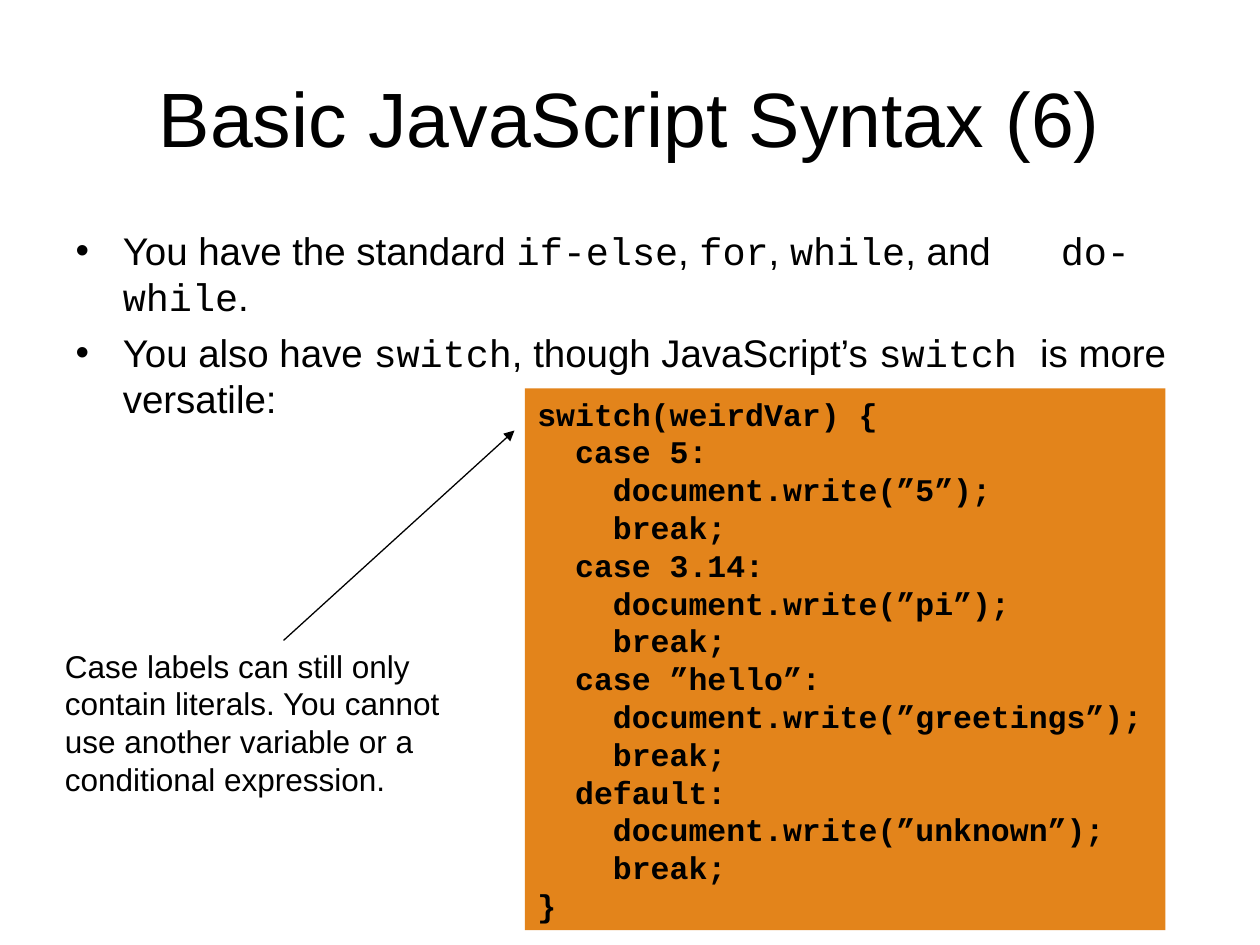
"""Build a slide on JavaScript control flow with a switch example."""
from lxml.etree import SubElement as sub_element
from pptx import Presentation
from pptx.dml.color import RGBColor
from pptx.enum.shapes import MSO_CONNECTOR as Connector, MSO_SHAPE as Shape
from pptx.enum.text import MSO_ANCHOR as Anchor, MSO_AUTO_SIZE as AutoSize, PP_ALIGN as Align
from pptx.oxml.ns import qn
from pptx.util import Pt

BLACK = RGBColor(0x00, 0x00, 0x00)
ORANGE = RGBColor(0xE3, 0x84, 0x1B)
SANS, MONO = "Arial", "Courier New"
CODE_STEP = 21.6
TAB_STOP = 563

BULLETS = [
    [("You have the standard ", SANS), ("if-else", MONO), (", ", SANS), ("for", MONO),
     (", ", SANS), ("while", MONO), (", and\t", SANS), ("do-while", MONO), (".", SANS)],
    [("You also have ", SANS), ("switch", MONO), (", though JavaScript’s ", SANS),
     ("switch ", MONO), ("is more versatile:", SANS)],
]
CASES = [("case 5:", "5"), ("case 3.14:", "pi"),
         ("case ”hello”:", "greetings"), ("default:", "unknown")]
CAPTION = ("Case labels can still only contain literals. "
           "You cannot use another variable or a conditional expression.")


def add_span(para, text, font=SANS, size=18, bold=False, color=BLACK):
    span = para.add_run()
    span.text = text
    span.font.name = font
    span.font.size = Pt(size)
    span.font.bold = bold
    span.font.color.rgb = color


def place(box, left, top, width, height):
    box.left, box.top, box.width, box.height = Pt(left), Pt(top), Pt(width), Pt(height)


def next_para(frame, index):
    return frame.paragraphs[0] if index == 0 else frame.add_paragraph()


def fill_title(box, text):
    place(box, 36, 21.6, 648, 90)
    box.text_frame.auto_size = AutoSize.NONE
    box.text_frame.vertical_anchor = Anchor.MIDDLE
    para = box.text_frame.paragraphs[0]
    para.alignment = Align.CENTER
    add_span(para, text, size=44)


def add_tab_stop(para, position):
    tabs = sub_element(para._p.get_or_add_pPr(), qn("a:tabLst"))
    sub_element(tabs, qn("a:tab"), pos=str(Pt(position)), algn="l")


def fill_bullets(box, bullets):
    place(box, 36, 126, 648, 356.4)
    box.text_frame.auto_size = AutoSize.NONE
    for index, spans in enumerate(bullets):
        para = next_para(box.text_frame, index)
        para.space_before = Pt(5.5)
        add_tab_stop(para, TAB_STOP)
        for text, font in spans:
            add_span(para, text, font=font, size=22)


def switch_lines(cases):
    lines = [(0, "switch(weirdVar) {")]
    for label, output in cases:
        lines += [(1, label), (2, f"document.write(”{output}”);"), (2, "break;")]
    return lines + [(0, "}")]


def add_code(page, lines):
    box = page.shapes.add_shape(Shape.RECTANGLE, Pt(300), Pt(222), Pt(366), Pt(309.6))
    box.shadow.inherit = False
    box.fill.solid()
    box.fill.fore_color.rgb = ORANGE
    box.line.fill.background()
    frame = box.text_frame
    frame.word_wrap = True
    frame.auto_size = AutoSize.SHAPE_TO_FIT_TEXT
    frame.vertical_anchor = Anchor.TOP
    for index, (depth, text) in enumerate(lines):
        para = next_para(frame, index)
        para.alignment = Align.LEFT
        para._p.get_or_add_pPr().set("marL", str(Pt(depth * CODE_STEP)))
        add_span(para, text, font=MONO, bold=True)


def add_caption(page, text):
    box = page.shapes.add_textbox(Pt(30), Pt(366), Pt(234), Pt(93.6))
    box.text_frame.word_wrap = True
    box.text_frame.auto_size = AutoSize.SHAPE_TO_FIT_TEXT
    para = box.text_frame.paragraphs[0]
    para.space_before = Pt(11.2)
    add_span(para, text)


def add_arrow(page, start, end):
    points = [Pt(value) for value in (*start, *end)]
    arrow = page.shapes.add_connector(Connector.STRAIGHT, *points)
    arrow.line.color.rgb = BLACK
    arrow.line.width = Pt(0.75)
    sub_element(arrow.line._get_or_add_ln(), qn("a:tailEnd"), type="triangle")
    sub_element(arrow._element.spPr, qn("a:effectLst"))


def main():
    deck = Presentation()
    deck.slide_width, deck.slide_height = Pt(720), Pt(540)
    page = deck.slides.add_slide(deck.slide_layouts[1])
    fill_title(page.shapes.title, "Basic JavaScript Syntax (6)")
    fill_bullets(page.placeholders[1], BULLETS)
    add_code(page, switch_lines(CASES))
    add_caption(page, CAPTION)
    add_arrow(page, (162, 366), (294, 246))
    deck.save("out.pptx")


if __name__ == "__main__":
    main()
